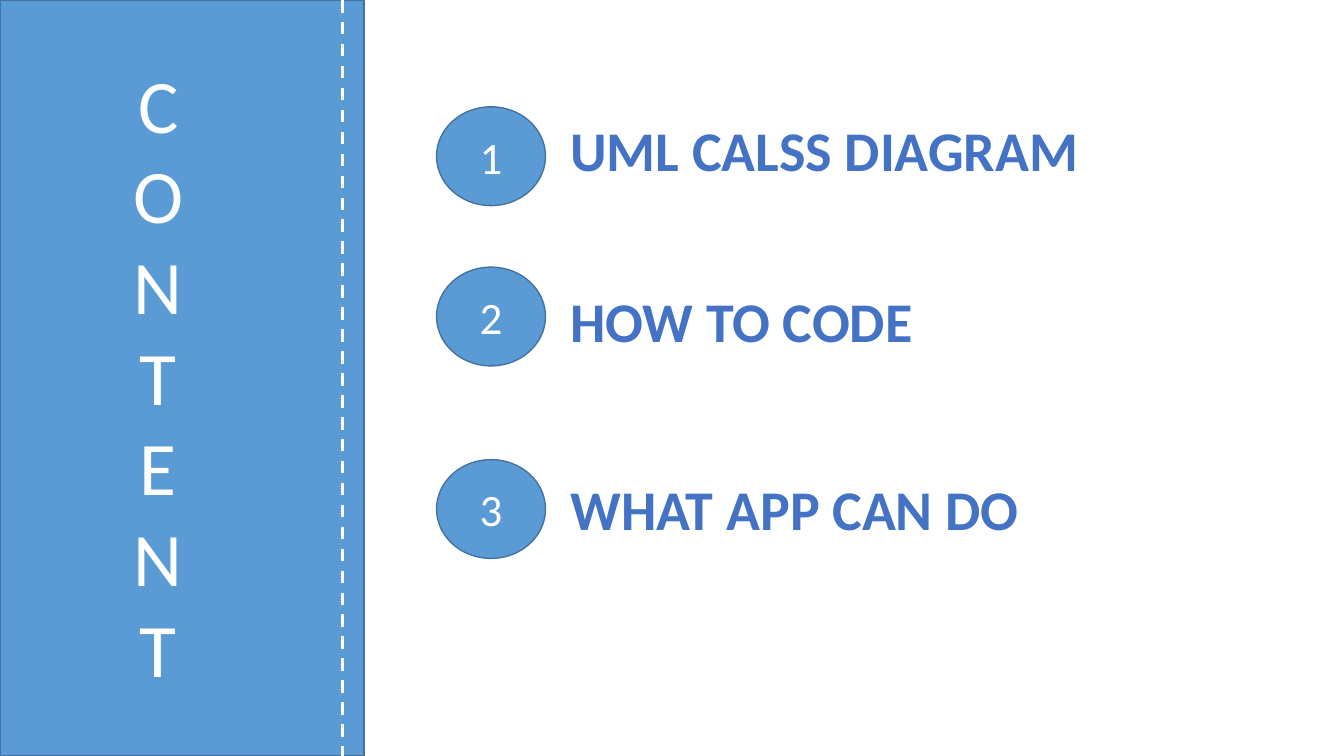
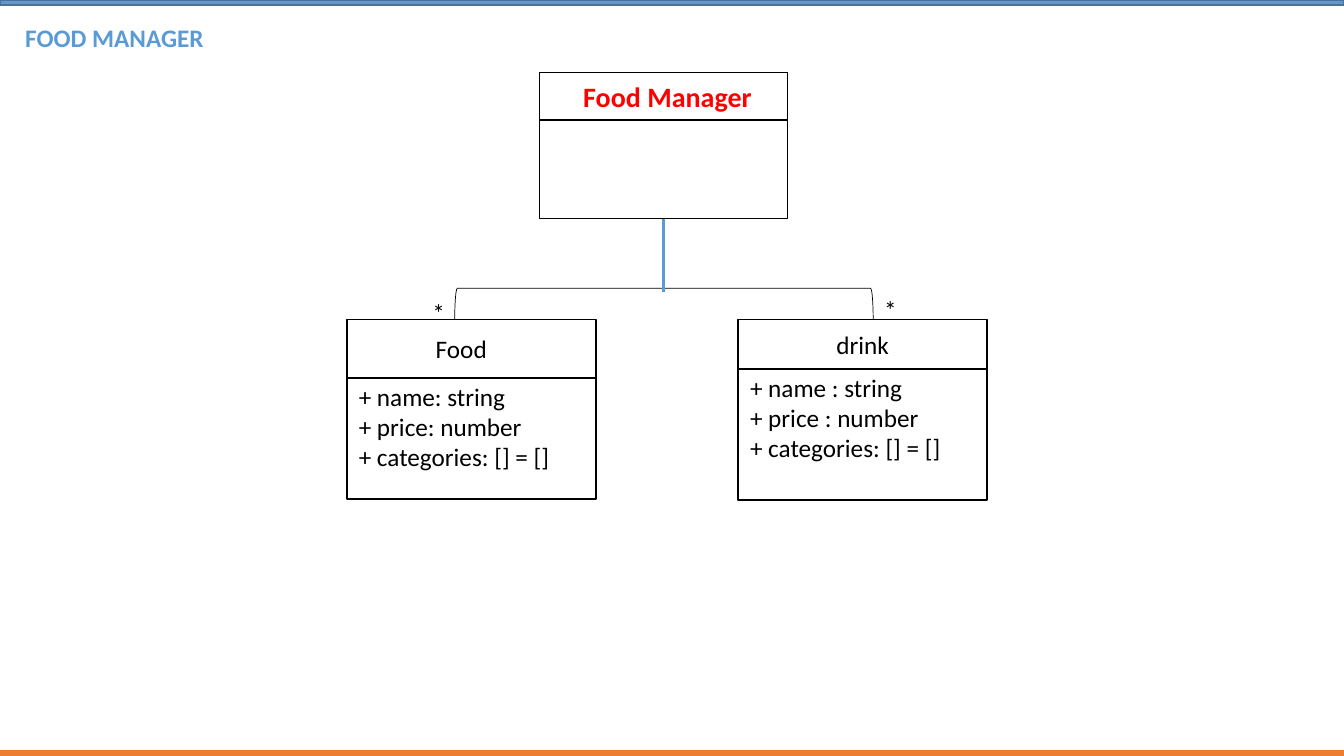
from dataclasses import dataclass
from lxml.etree import SubElement
from pptx import Presentation
from pptx.dml.color import RGBColor as RGB
from pptx.enum.dml import MSO_LINE as Dash
from pptx.enum.shapes import MSO_CONNECTOR as Conn, MSO_SHAPE as Kind
from pptx.enum.text import MSO_ANCHOR as Anchor, MSO_AUTO_SIZE as Auto, PP_ALIGN as Align
from pptx.oxml.ns import qn
from pptx.util import Pt

PX = 9144
WIDE, HIGH = 1333, 750


@dataclass(frozen=True)
class Theme:
    """Hold the colours, font and type sizes."""
    blue: str = "5B9BD5"
    edge: str = "43739E"
    label: str = "4472C4"
    orange: str = "ED7D31"
    red: str = "FF0000"
    black: str = "000000"
    white: str = "FFFFFF"
    font: str = "Calibri"
    giant: int = 54
    large: int = 40
    badge: int = 32
    head: int = 20
    body: int = 18


LOOK = Theme()


def emu(*sizes):
    """Turn px into EMU."""
    return [size * PX for size in sizes]


def write(shape, text, size, color, bold=False, align=Align.LEFT, anchor=Anchor.TOP):
    """Set and format the text of a shape."""
    frame = shape.text_frame
    frame.text = text
    frame.word_wrap = True
    frame.auto_size = Auto.NONE
    frame.vertical_anchor = anchor
    for para in frame.paragraphs:
        para.alignment = align
        for run in para.runs:
            font = run.font
            font.name, font.size, font.bold = LOOK.font, Pt(size), bold
            font.color.rgb = RGB.from_string(color)
    return shape


def label(slide, box, text, size, color, **style):
    """Add a text box."""
    return write(slide.shapes.add_textbox(*emu(*box)), text, size, color, **style)


def title(slide, box, text, size, color, **style):
    """Place the slide title in front of what is drawn so far."""
    shape = slide.shapes.title
    shape.left, shape.top, shape.width, shape.height = emu(*box)
    write(shape, text, size, color, **style)
    shape.element.getparent().append(shape.element)


def block(slide, kind, box, fill, edge, width=1):
    """Add a preset shape, unfilled if fill is None."""
    shape = slide.shapes.add_shape(kind, *emu(*box))
    shape.shadow.inherit = False
    if fill:
        shape.fill.solid()
        shape.fill.fore_color.rgb = RGB.from_string(fill)
    else:
        shape.fill.background()
    shape.line.color.rgb = RGB.from_string(edge)
    shape.line.width = Pt(width)
    return shape


def rule(slide, ends, color, width=1):
    """Add a straight line."""
    line = slide.shapes.add_connector(Conn.STRAIGHT, *emu(*ends))
    line.line.color.rgb = RGB.from_string(color)
    line.line.width = Pt(width)
    SubElement(line.element.spPr, qn("a:effectLst"))
    return line


def trim(shape):
    """Give the letters a thin white outline."""
    for run in shape.text_frame.paragraphs[0].runs:
        props = run.font.fill._xPr
        line = SubElement(props, qn("a:ln"), w=str(Pt(0.75)))
        fill = SubElement(line, qn("a:solidFill"))
        SubElement(fill, qn("a:srgbClr"), val=LOOK.white)
        props.insert(0, line)


def panel(slide, box, word):
    """Draw the side panel with its upright title and dashed seam."""
    x, y, w, h = box
    block(slide, Kind.FLOWCHART_PROCESS, box, LOOK.blue, LOOK.edge)
    title(slide, (x + 122, y + 52, 70, 646), "\n".join(word),
          LOOK.giant, LOOK.white, align=Align.CENTER)
    seam = rule(slide, (x + w - 21, y, x + w - 21, y + h), LOOK.white, 2.25)
    seam.line.dash_style = Dash.DASH


def entry(slide, box, num, text, drop):
    """Draw a numbered disc and its label, lowered by drop."""
    x, y, w, h = box
    disc = block(slide, Kind.OVAL, (x, y, 108, h), LOOK.blue, LOOK.edge)
    write(disc, str(num), LOOK.badge, LOOK.white,
          align=Align.CENTER, anchor=Anchor.MIDDLE)
    trim(label(slide, (x + 123, y + drop, w - 123, 77), text,
               LOOK.large, LOOK.label, bold=True))


def card(slide, box, name, split, shift=0, rows=(), size=LOOK.body,
         color=LOOK.black, bold=False):
    """Draw a class box whose name part is split high."""
    x, y, w, h = box
    frame = block(slide, Kind.RECTANGLE, box, LOOK.white, LOOK.black)
    rule(slide, (x, y + split, x + w, y + split), LOOK.black)
    label(slide, (x + shift, y, w, split), name, size, color, bold=bold,
          align=Align.CENTER, anchor=Anchor.MIDDLE)
    if rows:
        label(slide, (x + 2, y + split - 2, w - 2, 101), "\n".join(rows),
              LOOK.body, LOOK.black)
    return frame


def fork(slide, box, root):
    """Join the root class to the ends of a bracket, each marked many."""
    x, y, w, h = box
    mid = x + w // 2
    turned = (mid - h // 2, y + h // 2 - w // 2, h, w)
    block(slide, Kind.LEFT_BRACKET, turned, None, LOOK.black, 0.5).rotation = 90
    for left, top in ((x - 32, y + 4), (x + w + 1, y + 1)):
        label(slide, (left, top, 33, 40), "*", LOOK.body, LOOK.black)
    stem = rule(slide, (mid, y - 69, mid, y + 4), LOOK.blue, 2.25)
    stem.begin_connect(root, 2)


def bands(slide, box):
    """Draw the top and bottom bands."""
    x, y, w, h = box
    for top, fill, edge in ((y + h - 5, LOOK.orange, LOOK.orange),
                            (y, LOOK.blue, LOOK.edge)):
        block(slide, Kind.FLOWCHART_PROCESS, (x, top, w, 5), fill, edge)


def agenda(slide):
    """Build the content slide."""
    panel(slide, (0, 0, 361, HIGH), "CONTENT")
    items = ((106, "UML CALSS DIAGRAM", 4), (265, "HOW TO CODE", 14),
             (456, "WHAT APP CAN DO", 10))
    for num, (top, text, drop) in enumerate(items, 1):
        entry(slide, (433, top, 723, 98), num, text, drop)


def diagram(slide):
    """Build the class diagram slide."""
    title(slide, (15, 17, 400, 40), "FOOD MANAGER", LOOK.body, LOOK.blue, bold=True)
    root = card(slide, (535, 72, 246, 145), "Food Manager", 47, 4,
                size=LOOK.head, color=LOOK.red, bold=True)
    card(slide, (732, 317, 247, 179), "drink", 49,
         rows=("+ name : string", "+ price : number", "+ categories: [] = []"))
    card(slide, (344, 317, 247, 178), "Food", 58, -10,
         rows=("+ name: string", "+ price: number", "+ categories: [] = []"))
    fork(slide, (451, 286, 415, 31), root)
    bands(slide, (0, 0, WIDE, HIGH))


def main():
    """Build and save the deck."""
    deck = Presentation()
    deck.slide_width, deck.slide_height = emu(WIDE, HIGH)
    for build in (agenda, diagram):
        build(deck.slides.add_slide(deck.slide_layouts[5]))
    deck.save("out.pptx")


if __name__ == "__main__":
    main()
